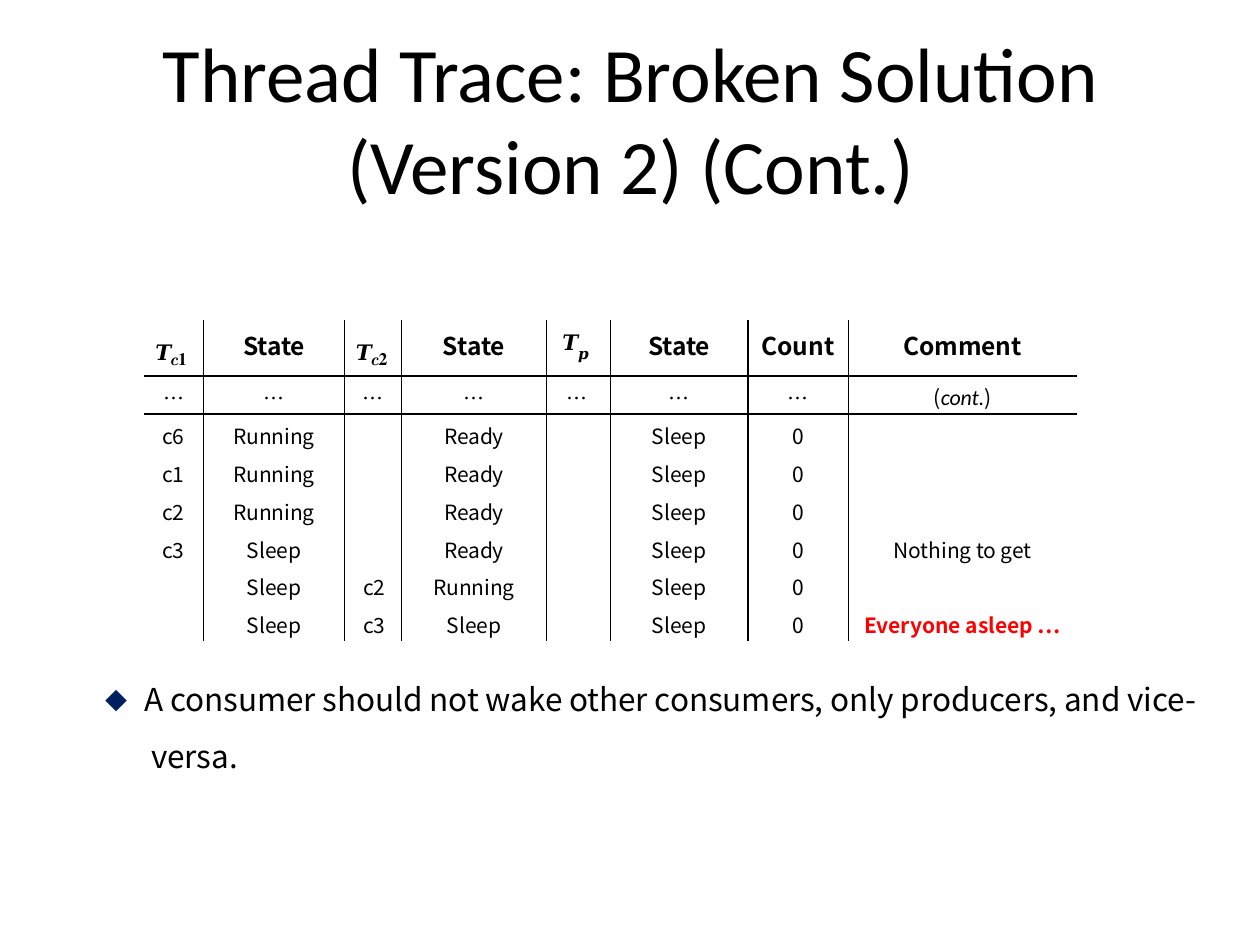
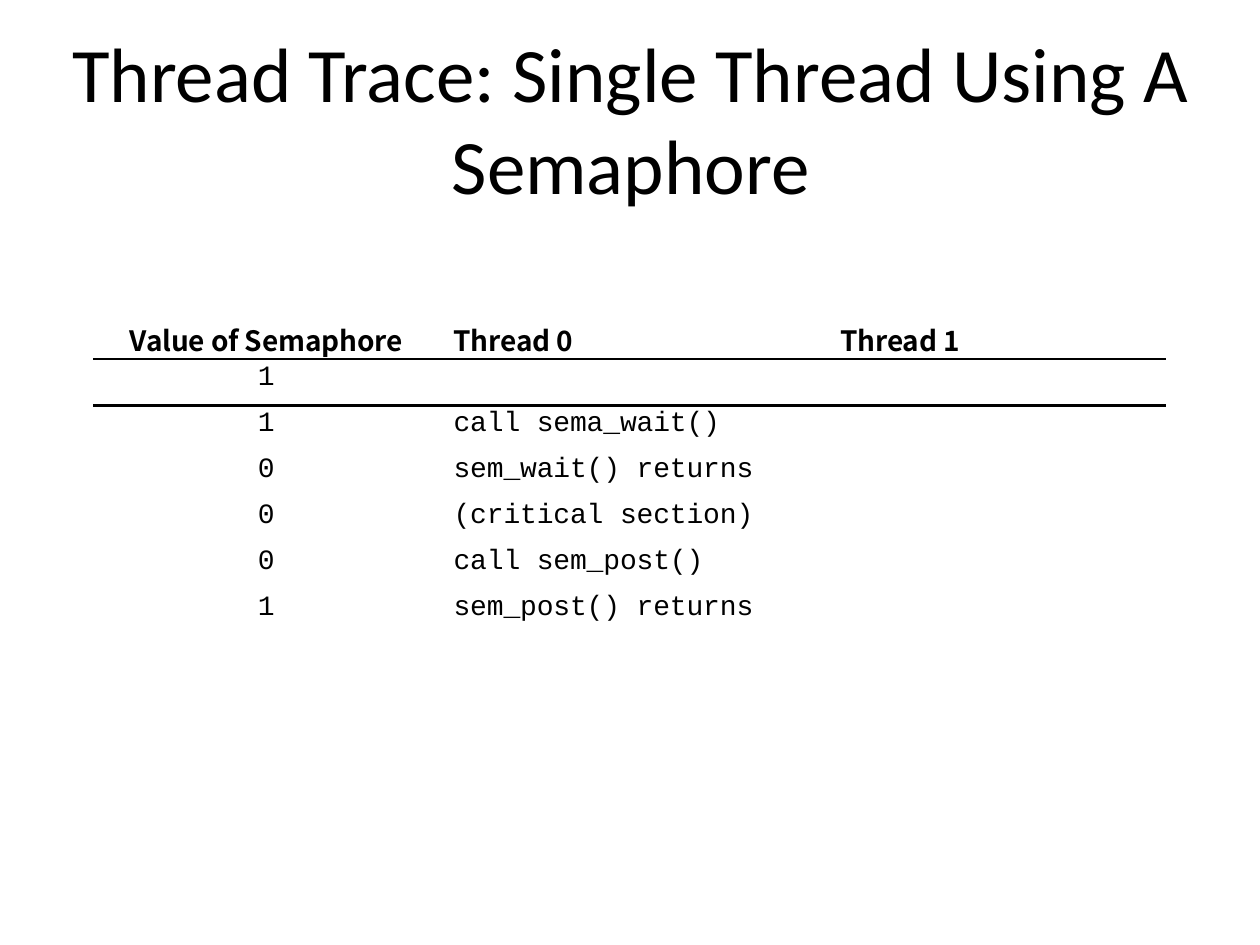
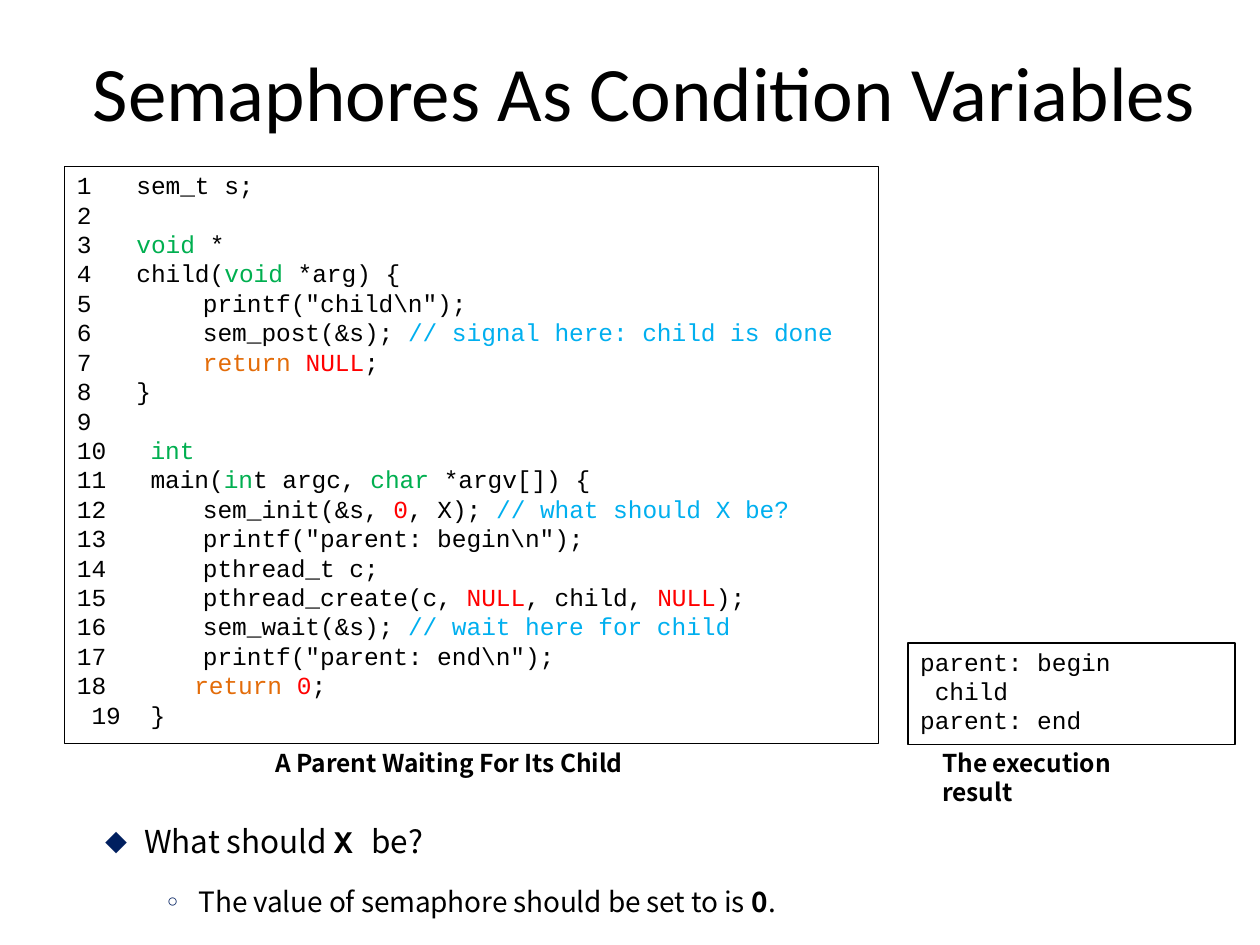
from lxml import etree
from pptx import Presentation
from pptx.dml.color import RGBColor
from pptx.enum import shapes, text
from pptx.oxml.ns import qn
from pptx.util import Pt

# Shared look
SANS, MONO, SERIF, HEAD = "Noto Sans CJK KR", "Courier New", "Times New Roman", "Calibri"
BLACK, NAVY, RED, GREEN, SKY, ORANGE = "000000", "001F5F", "FF0000", "00AF50", "00AFEF", "E36C09"
AL = text.PP_ALIGN
L, C, R = AL.LEFT, AL.CENTER, AL.RIGHT
BOLD = {"b": True}
TYPE, VALUE, NOTE, FLOW = ({"c": c} for c in (GREEN, RED, SKY, ORANGE))
BREAK = "\v"

# Slide 1: thread trace with two consumers and a producer
TRACE = {
    "title": "Thread Trace: Broken Solution (Version 2) (Cont.)",
    "at": (82.4, 183, 533, 184),
    "cols": [34, 80.5, 32.5, 83, 36.5, 78.5, 57.5, 130.5],
    "rows": [32] + [21.6] * 7,
    "pads": {0: 11, 2: 9, 4: 13},
    "head": ["c1", "State", "c2", "State", "p", "State", "Count", "Comment"],
    "body": [
        ["c6", "Running", "", "Ready", "", "Sleep", "0", ""],
        ["c1", "Running", "", "Ready", "", "Sleep", "0", ""],
        ["c2", "Running", "", "Ready", "", "Sleep", "0", ""],
        ["c3", "Sleep", "", "Ready", "", "Sleep", "0", "Nothing to get"],
        ["", "Sleep", "c2", "Running", "", "Sleep", "0", ""],
        ["", "Sleep", "c3", "Sleep", "", "Sleep", "0", "Everyone asleep …"],
    ],
}
BIG, SUB = {"f": SERIF, "sz": 21, "base": 12}, {"f": SERIF, "sz": 10}
LOW = {"f": SERIF, "sz": 15, "base": -17}
SIGNS = {  # heading: runs, top gap, right gap
    "c1": ([("𝑻", BIG), ("𝒄𝟏", SUB)], 7, 9.5),
    "c2": ([("𝑻", BIG), ("𝒄𝟐", SUB)], 7, 8),
    "p": ([("𝑻", BIG), ("𝒑", LOW)], 1.3, 12.5),
}
CONT = ["(", ("cont.", {"f": HEAD, "sz": 12.5, "i": True}), ")"]
ADVICE = ["A consumer should not wake other consumers, only producers, and vice-",
          BREAK, " versa."]

# Slide 2: one thread and a semaphore
SEMA = {
    "title": "Thread Trace: Single Thread Using A Semaphore",
    "at": (53.2, 179, 612.8, 184.4),
    "cols": [191, 159, 262.8],
    "rows": [26] + [26.4] * 6,
    "left": [7, 15, 77],
    "head": ["Value of Semaphore", "Thread 0", "Thread 1"],
    "body": [("1", ""), ("1", "call sema_wait()"), ("0", "sem_wait() returns"),
             ("0", "(critical section)"), ("0", "call sem_post()"),
             ("1", "sem_post() returns")],
    "wide": (2, 3, 4, 6),
}

# Slide 3: code lines as (tab stop, runs)
NULL = ("NULL", VALUE)
OUT, MID, BACK, DEEP = 34, 42, 67, 72
CODE = [
    (OUT, ["sem_t s;"]),
    (OUT, []),
    (OUT, [("void ", TYPE), "*"]),
    (OUT, ["child(", ("void ", TYPE), "*arg) {"]),
    (DEEP, ['printf("child\\n");']),
    (DEEP, ["sem_post(&s); ", ("// signal here: child is done", NOTE)]),
    (DEEP, [("return ", FLOW), NULL, ";"]),
    (OUT, ["}"]),
    (OUT, []),
    (MID, [("int", TYPE)]),
    (MID, ["main(", ("in", TYPE), "t argc, ", ("char ", TYPE), "*argv[]) {"]),
    (DEEP, ["sem_init(&s, ", ("0", VALUE), ", X); ", ("// what should X be?", NOTE)]),
    (DEEP, ['printf("parent: begin\\n");']),
    (DEEP, ["pthread_t c;"]),
    (DEEP, ["pthread_create(c, ", NULL, ", child, ", NULL, ");"]),
    (DEEP, ["sem_wait(&s); ", ("// wait here for child", NOTE)]),
    (DEEP, ['printf("parent: end\\n");']),
    (BACK, [("return ", FLOW), ("0", VALUE), ";"]),
    (MID, ["}"]),
]
RESULT = ["parent: begin", BREAK, " child", BREAK, "parent: end"]
CAPS = [((157.4, 426.5, 202, 19), ["A Parent Waiting For Its Child"]),
        ((538.5, 426.5, 138, 19), ["The execution", BREAK, "result"])]
ASK = ["What should ", ("X ", {"f": MONO, "b": True}), "be?"]
REPLY = ["The value of semaphore should be set to is ", ("0", BOLD), "."]


def paint(hue):
    return RGBColor.from_string(hue)


def add(node, tag, **attrs):
    return etree.SubElement(node, qn(tag), attrs)


def write(par, runs, sz, f=SANS, b=False, c=BLACK, al=L, sb=0, sp=-0.05, ls=1):
    """Fill one paragraph run by run; a run is text or (text, style)."""
    par.alignment, par.line_spacing = al, ls
    par.space_before, par.space_after = Pt(sb), Pt(0)
    for run in runs:
        if run == BREAK:
            par.add_line_break()
            continue
        words, own = (run, {}) if isinstance(run, str) else run
        look = {"sz": sz, "f": f, "b": b, "c": c, "i": False, **own}
        r = par.add_run()
        r.text = words
        r.font.size, r.font.name = Pt(look["sz"]), look["f"]
        r.font.bold, r.font.italic = look["b"], look["i"]
        r.font.color.rgb = paint(look["c"])
        props = r.font._element
        if sp:
            props.set("spc", str(round(sp * 100)))
        if "base" in look:
            props.set("baseline", str(look["base"] * 1000))
    if not runs:
        add(par._p, "a:endParaRPr", sz=str(round(sz * 100)))


def bullet(par, left, first, mark, size=100):
    props = par._p.get_or_add_pPr()
    props.set("marL", str(Pt(left)))
    props.set("indent", str(Pt(first)))
    add(add(props, "a:buClr"), "a:srgbClr", val=NAVY)
    add(props, "a:buSzPct", val=str(size * 1000))
    add(props, "a:buChar", char=mark)


def tab(par, stop):
    add(add(par._p.get_or_add_pPr(), "a:tabLst"), "a:tab", pos=str(Pt(stop)), algn="l")


def frame(shape, top=0.8, left=0, anchor=text.MSO_ANCHOR.TOP):
    tf = shape.text_frame
    tf.word_wrap, tf.auto_size = True, text.MSO_AUTO_SIZE.NONE
    tf.margin_left, tf.margin_top = Pt(left), Pt(top)
    tf.margin_right = tf.margin_bottom = 0
    tf.vertical_anchor = anchor
    return tf


def place(shape, at):
    shape.left, shape.top, shape.width, shape.height = map(Pt, at)


def start(deck, kind, title, at=(36.5, 13, 648, 108)):
    slide = deck.slides.add_slide(deck.slide_layouts[kind])
    place(slide.shapes.title, at)
    tf = frame(slide.shapes.title, anchor=text.MSO_ANCHOR.MIDDLE)
    write(tf.paragraphs[0], [title], 44, HEAD, al=C, sb=1, sp=0)
    return slide


def body(slide, at):
    shape = slide.placeholders[1]
    place(shape, at)
    return frame(shape)


def label(slide, at):
    return frame(slide.shapes.add_textbox(*map(Pt, at)))


def box(slide, at):
    shape = slide.shapes.add_shape(shapes.MSO_SHAPE.RECTANGLE, *map(Pt, at))
    shape.shadow.inherit = False
    shape.fill.background()
    shape.line.color.rgb, shape.line.width = paint(BLACK), Pt(0.72)
    return shape


def grid(slide, data):
    rows, cols = data["rows"], data["cols"]
    holder = slide.shapes.add_table(len(rows), len(cols), *map(Pt, data["at"]))
    table = holder.table
    table.first_row = table.horz_banding = False
    for row, high in zip(table.rows, rows):
        row.height = Pt(high)
    for col, wide in zip(table.columns, cols):
        col.width = Pt(wide)
    return table


def fill(cell, runs, sz, top, sides, left=0, right=0, **look):
    """Write one cell; sides maps L, R, T, B to line widths."""
    cell.margin_left, cell.margin_right = Pt(left), Pt(right)
    cell.margin_top, cell.margin_bottom = Pt(top), 0
    write(cell.text_frame.paragraphs[0], runs, sz, sb=top, **look)
    props = cell._tc.get_or_add_tcPr()
    for side in "LRTB":
        wide = sides.get(side, 0)
        line = add(props, "a:ln" + side, w=str(Pt(wide)))
        if wide:
            add(add(line, "a:solidFill"), "a:srgbClr", val=BLACK)
        else:
            add(line, "a:noFill")
    cell.fill.background()


def rules(row, wide):
    """Lines below the first two rows."""
    return {"T": wide * (row in (1, 2)), "B": wide * (row in (0, 1))}


def trace(deck):
    slide = start(deck, 1, TRACE["title"])
    par = body(slide, (58.5, 377, 632, 67)).paragraphs[0]
    write(par, ADVICE, 18, sb=1, ls=1.5)
    bullet(par, 24, -22.5, "⬥")
    table, pads = grid(slide, TRACE), TRACE["pads"]
    last = len(TRACE["cols"]) - 1
    cells = [TRACE["head"], ["…"] * last + ["cont"]] + TRACE["body"]
    for y, line in enumerate(cells):
        for x, word in enumerate(line):
            sides = {"L": x > 0, "R": x < last, **rules(y, 1)}
            runs, sz, top, look = [word] if word else [], 12, 3.6 if word else 0, {}
            side = x in pads and not (x == 2 and y == 1)
            pad = pads[x] if side else 0
            if y == 0:
                runs, top, pad = SIGNS.get(word, (runs, 3.9, 0))
                sz, look = 14, BOLD if word not in SIGNS else {}
            elif word == "cont":
                runs, top = CONT, 2.9
            elif word == "…":
                top = 3.4
            elif word.startswith("Everyone"):
                look = {"b": True, "c": RED, "sp": 0}
            fill(table.cell(y, x), runs, sz, top, sides, al=R if side else C,
                 right=pad, **look)


def sema(deck):
    slide = start(deck, 5, SEMA["title"])
    table = grid(slide, SEMA)
    for y, line in enumerate([SEMA["head"]] + [(*pair, "") for pair in SEMA["body"]]):
        for x, word in enumerate(line):
            top = (3.2, 1.8)[y] if y < 2 else 1.4
            look = BOLD if y == 0 else {"f": MONO}
            fill(table.cell(y, x), [word] if word else [], 16, top, rules(y, 1.5),
                 left=SEMA["left"][x], al=L if x else C, **look)
    for y in SEMA["wide"]:
        table.cell(y, 1).merge(table.cell(y, 2))


def code(deck):
    slide = start(deck, 1, "Semaphores As Condition Variables", (44.5, 24.5, 648, 54))
    tf = body(slide, (58.5, 469, 393, 57))
    write(tf.paragraphs[0], ASK, 18, sb=1)
    bullet(tf.paragraphs[0], 24, -22.5, "⬥")
    par = tf.add_paragraph()
    par.level = 1
    write(par, REPLY, 16, sb=13.8)
    bullet(par, 55, -18, "○", 66)
    # Code listing
    box(slide, (37, 95, 465, 330))
    tf = label(slide, (44, 96.5, 433, 321))
    for n, (stop, runs) in enumerate(CODE, 1):
        par = tf.paragraphs[0] if n == 1 else tf.add_paragraph()
        mark = f" {n}" if n == len(CODE) else str(n)
        gap = ["\t"] if runs else []
        write(par, [mark] + gap + runs, 14, MONO, sb=1.1 if n == 1 else 0)
        tab(par, stop)
    # Result and captions
    tf = frame(box(slide, (518.8, 367.5, 187, 58)), top=2, left=7)
    write(tf.paragraphs[0], RESULT, 14, MONO, sb=2)
    for at, runs in CAPS:
        write(label(slide, at).paragraphs[0], runs, 14, b=True, sb=1)


def main():
    deck = Presentation()
    deck.slide_width, deck.slide_height = Pt(720), Pt(540)
    for make in (trace, sema, code):
        make(deck)
    deck.save("out.pptx")


if __name__ == "__main__":
    main()
